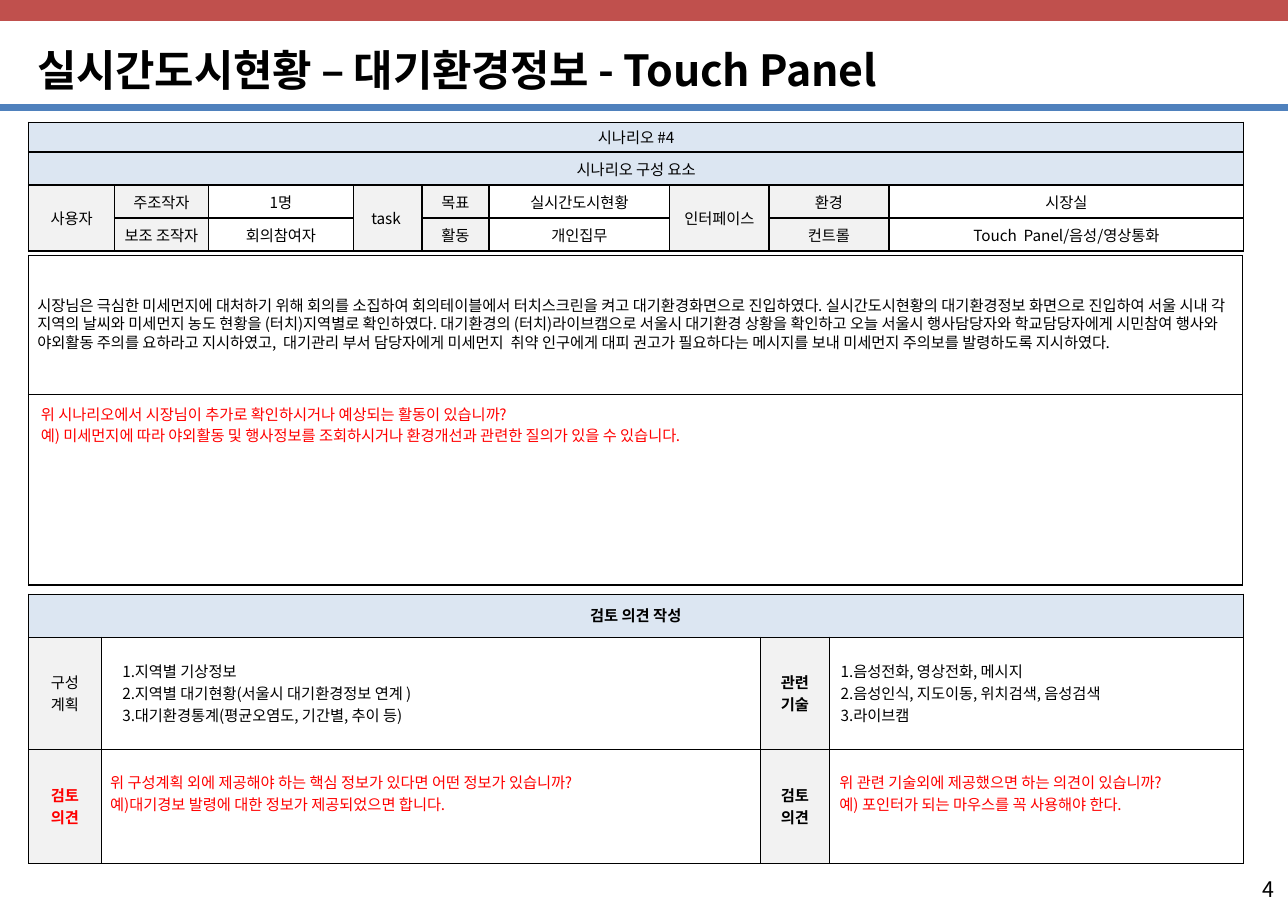
from lxml import etree
from pptx import Presentation
from pptx.dml.color import RGBColor
from pptx.enum.shapes import MSO_CONNECTOR, MSO_SHAPE
from pptx.enum.text import MSO_ANCHOR, MSO_AUTO_SIZE, PP_ALIGN
from pptx.oxml.ns import qn
from pptx.util import Inches, Pt

BLACK = RGBColor(0x00, 0x00, 0x00)
WHITE = RGBColor(0xFF, 0xFF, 0xFF)
RED = RGBColor(0xFF, 0x00, 0x00)
BRICK = RGBColor(0xC0, 0x50, 0x4D)
BLUE = RGBColor(0x4F, 0x81, 0xBD)
PALE = RGBColor(0xDC, 0xE6, 0xF2)
GRAY = RGBColor(0xF2, 0xF2, 0xF2)
LEFT, CENTER, RIGHT = PP_ALIGN.LEFT, PP_ALIGN.CENTER, PP_ALIGN.RIGHT
TOP, MIDDLE = MSO_ANCHOR.TOP, MSO_ANCHOR.MIDDLE
FONT = "Noto Sans CJK KR"


def write(frame, lines, color=BLACK, bold=False, align=CENTER, size=10, lead=None):
    for i, line in enumerate(lines):
        para = frame.paragraphs[0] if i == 0 else frame.add_paragraph()
        para.alignment = align
        if lead:
            para.line_spacing = Pt(lead)
        run = para.add_run()
        run.text = line
        run.font.size = Pt(size)
        run.font.bold = bold
        run.font.name = FONT
        run.font.color.rgb = color
        etree.SubElement(run._r.get_or_add_rPr(), qn("a:ea"), typeface=FONT)


def grid(top, cols, rows, spans, weight):
    frame = slide.shapes.add_table(len(rows), len(cols), Inches(0.26), Inches(top),
                                   Inches(sum(cols)), Inches(sum(rows)))
    table = frame.table
    table.first_row = table.horz_banding = False
    for col, width in zip(table.columns, cols):
        col.width = Inches(width)
    for row, height in zip(table.rows, rows):
        row.height = Inches(height)
    for r1, c1, r2, c2 in spans:
        table.cell(r1, c1).merge(table.cell(r2, c2))
    for cell in table.iter_cells():
        cell.margin_left = cell.margin_right = cell.margin_top = cell.margin_bottom = 0
        cell.vertical_anchor = MIDDLE
        props = cell._tc.get_or_add_tcPr()
        for side in ("lnL", "lnR", "lnT", "lnB"):
            edge = etree.SubElement(props, qn("a:" + side), w=str(Pt(weight)))
            fill = etree.SubElement(edge, qn("a:solidFill"))
            etree.SubElement(fill, qn("a:srgbClr"), val=str(BLACK))
        cell.fill.solid()
        cell.fill.fore_color.rgb = WHITE
        if cell.is_spanned:
            para = cell.text_frame.paragraphs[0]._p
            etree.SubElement(para, qn("a:endParaRPr"), sz="1000")
    return table


prs = Presentation()
prs.slide_width, prs.slide_height = Inches(11.69), Inches(8.27)
slide = prs.slides.add_slide(prs.slide_layouts[6])

band = slide.shapes.add_shape(MSO_SHAPE.RECTANGLE, 0, 0, prs.slide_width, Inches(0.19))
band.shadow.inherit = False
band.fill.solid()
band.fill.fore_color.rgb = BRICK
band.line.fill.background()

rule = slide.shapes.add_connector(MSO_CONNECTOR.STRAIGHT, 0, Inches(0.98),
                                  prs.slide_width, Inches(0.98))
rule.line.color.rgb = BLUE
rule.line.width = Pt(4.5)
etree.SubElement(rule._element.spPr, qn("a:effectLst"))

title = slide.shapes.add_textbox(Inches(0.22), Inches(0.35), Inches(8.01), Inches(0.57))
title.text_frame.word_wrap = False
title.text_frame.auto_size = MSO_AUTO_SIZE.SHAPE_TO_FIT_TEXT
write(title.text_frame, ["실시간도시현황 – 대기환경정보 - Touch Panel"], bold=True, align=LEFT, size=28)
head = title.text_frame.paragraphs[0]
head.space_before = Pt(2.3)
head._p.get_or_add_pPr().set("marL", str(Inches(0.02)))
head.runs[0]._r.get_or_add_rPr().set("spc", "-10")

page = slide.shapes.add_textbox(Inches(9.81), Inches(7.76), Inches(1.86), Inches(0.62))
page.text_frame.word_wrap = True
page.text_frame.vertical_anchor = MIDDLE
write(page.text_frame, ["4"], align=RIGHT, size=14)

facts = [
    ["시나리오 #4"],
    ["시나리오 구성 요소"],
    ["사용자", "주조작자", "1명", "task ", "목표", "실시간도시현황", "인터페이스", "환경", "시장실"],
    ["", "보조 조작자", "회의참여자", "", "활동", "개인집무", "", "컨트롤", "Touch  Panel/음성/영상통화"],
]
spans = [(0, 0, 0, 8), (1, 0, 1, 8)] + [(2, c, 3, c) for c in (0, 3, 6)]
table = grid(1.11, [0.78, 0.85, 1.32, 0.62, 0.61, 1.64, 0.9, 1.09, 3.22],
             [0.27, 0.3, 0.3, 0.3], spans, 1)
for r, row in enumerate(facts):
    for c, text in enumerate(row):
        if text:
            cell = table.cell(r, c)
            write(cell.text_frame, [text])
            cell.fill.fore_color.rgb = PALE if r < 2 else WHITE if c % 3 == 2 else GRAY

story = (
    "시장님은 극심한 미세먼지에 대처하기 위해 회의를 소집하여 회의테이블에서 터치스크린을 켜고 "
    "대기환경화면으로 진입하였다. 실시간도시현황의 대기환경정보 화면으로 진입하여 서울 시내 각 지역의 "
    "날씨와 미세먼지 농도 현황을 (터치)지역별로 확인하였다. 대기환경의 (터치)라이브캠으로 서울시 "
    "대기환경 상황을 확인하고 오늘 서울시 행사담당자와 학교담당자에게 시민참여 행사와 야외활동 주의를 "
    "요하라고 지시하였고,  대기관리 부서 담당자에게 미세먼지  취약 인구에게 대피 권고가 필요하다는 "
    "메시지를 보내 미세먼지 주의보를 발령하도록 지시하였다."
)
query = [
    " 위 시나리오에서 시장님이 추가로 확인하시거나 예상되는 활동이 있습니까?",
    " 예) 미세먼지에 따라 야외활동 및 행사정보를 조회하시거나 환경개선과 관련한 질의가 있을 수 있습니다.",
]
table = grid(2.32, [11.02], [1.26, 1.73], [], 1)
for cell in table.iter_cells():
    cell.margin_left = cell.margin_right = Inches(0.08)
    cell.margin_top = cell.margin_bottom = Inches(0.08)
write(table.cell(0, 0).text_frame, [story], align=LEFT, lead=12)
write(table.cell(1, 0).text_frame, query, RED, align=LEFT, lead=14)
table.cell(1, 0).vertical_anchor = TOP

table = grid(5.39, [0.66, 5.98, 0.63, 3.75], [0.39, 1.02, 1.04], [(0, 0, 0, 3)], 0.25)
labels = [
    (0, 0, ["검토 의견 작성"], BLACK, True, PALE),
    (1, 0, ["구성", "계획"], BLACK, False, GRAY),
    (1, 2, ["관련", "기술"], BLACK, True, GRAY),
    (2, 0, ["검토", "의견"], RED, True, GRAY),
    (2, 2, ["검토", "의견"], BLACK, True, GRAY),
]
for r, c, lines, color, bold, fill in labels:
    cell = table.cell(r, c)
    write(cell.text_frame, lines, color, bold)
    cell.fill.fore_color.rgb = fill

lists = [
    (1, 0.09, 0.1, ["지역별 기상정보", "지역별 대기현황(서울시 대기환경정보 연계 )",
                    "대기환경통계(평균오염도, 기간별, 추이 등)"]),
    (3, 0.2, -0.1, ["음성전화, 영상전화, 메시지", "음성인식, 지도이동, 위치검색, 음성검색", "라이브캠"]),
]
for c, left, indent, lines in lists:
    frame = table.cell(1, c).text_frame
    write(frame, lines, align=LEFT)
    for para in frame.paragraphs:
        props = para._p.get_or_add_pPr()
        props.set("marL", str(Inches(left)))
        props.set("indent", str(Inches(indent)))
        etree.SubElement(props, qn("a:buFont"), typeface="+mj-lt")
        etree.SubElement(props, qn("a:buAutoNum"), type="arabicPeriod")

asks = [
    (1, 0.08, ["위 구성계획 외에 제공해야 하는 핵심 정보가 있다면 어떤 정보가 있습니까?",
               "예)대기경보 발령에 대한 정보가 제공되었으면 합니다."]),
    (3, 0.09, ["위 관련 기술외에 제공했으면 하는 의견이 있습니까?",
               "예) 포인터가 되는 마우스를 꼭 사용해야 한다."]),
]
for c, left, lines in asks:
    cell = table.cell(2, c)
    cell.margin_left = Inches(left)
    cell.margin_top = Inches(0.2)
    cell.vertical_anchor = TOP
    write(cell.text_frame, lines, RED, align=LEFT)

prs.save("out.pptx")
